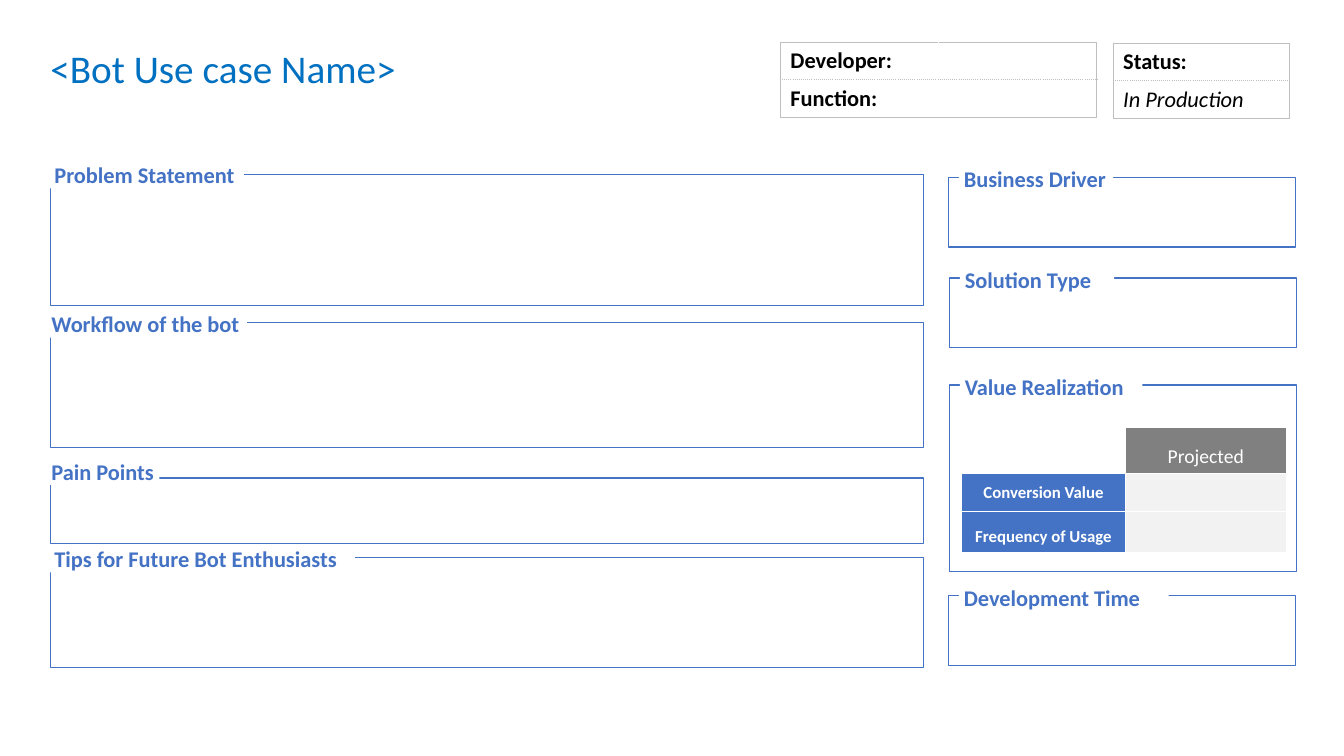
from lxml import etree
from pptx import Presentation, util as u
from pptx.dml.color import RGBColor
from pptx.enum import shapes, text
from pptx.oxml.ns import qn

HUES = {"blue": "4472C4", "title": "0070C0", "white": "FFFFFF", "black": "000000",
        "rule": "BFBFBF", "head": "808080", "pale": "F2F2F2"}
RULE, DOTS = ("rule", 0.75, "solid"), ("rule", 0.75, "sysDot")
CLEAR, GAP = ("white", 1, "solid"), ("white", 1.5, "solid")


def hue(name):
    """Return the named colour."""
    return RGBColor.from_string(HUES[name])


def write(frame, words, size=16, color="blue", bold=False, italic=False,
          align=text.PP_ALIGN.LEFT, space=1):
    """Put one formatted line of text in a frame."""
    para = frame.paragraphs[0]
    para.alignment, para.line_spacing = align, space
    run = para.add_run()
    run.text = words
    font = run.font
    font.name, font.size = "Calibri", u.Pt(size)
    font.bold, font.italic = bold, italic
    font.color.rgb = hue(color)


def rect(slide, box, line=None):
    """Draw a white rectangle, with an outline if a colour is given."""
    shape = slide.shapes.add_shape(shapes.MSO_SHAPE.RECTANGLE, *map(u.Inches, box))
    shape.shadow.inherit = False
    shape.fill.solid()
    shape.fill.fore_color.rgb = hue("white")
    if line:
        shape.line.color.rgb = hue(line)
        shape.line.width = u.Pt(1)
    else:
        shape.line.fill.background()
    return shape


def label(slide, box, words, inset=0.05, **form):
    """Draw a borderless text plate."""
    frame = rect(slide, box).text_frame
    frame.word_wrap = True
    frame.vertical_anchor = text.MSO_ANCHOR.MIDDLE
    frame.margin_left = u.Inches(inset)
    frame.margin_top = frame.margin_right = frame.margin_bottom = 0
    write(frame, words, **form)


def panel(slide, box, words, wide, dx, dy=-0.12):
    """Draw a framed field whose heading breaks its top edge."""
    rect(slide, box, "blue")
    label(slide, (box[0] + dx, box[1] + dy, wide, 0.27), words, bold=True)


def grid(slide, box, cols, rows):
    """Add a plain table with the given column widths and row heights."""
    table = slide.shapes.add_table(len(rows), len(cols), *map(u.Inches, box)).table
    table.first_row = table.horz_banding = False
    for col, wide in zip(table.columns, cols):
        col.width = u.Inches(wide)
    for row, high in zip(table.rows, rows):
        row.height = u.Inches(high)
    return table


def paint(cell, fill, **edges):
    """Set a cell's borders (L, R, T, B) and its fill."""
    props = cell._tc.get_or_add_tcPr()
    for side in "LRTB":
        if side in edges:
            color, width, dash = edges[side]
            line = etree.SubElement(props, qn("a:ln" + side), w=str(u.Pt(width)))
            solid = etree.SubElement(line, qn("a:solidFill"))
            etree.SubElement(solid, qn("a:srgbClr"), val=HUES[color])
            etree.SubElement(line, qn("a:prstDash"), val=dash)
    cell.fill.solid()
    cell.fill.fore_color.rgb = hue(fill)
    cell.text_frame.paragraphs[0].font.size = u.Pt(12)


def facts(slide, box, count, lines):
    """Add a two-row fact table, split by a dotted rule."""
    table = grid(slide, box, [box[2] / count] * count, [box[3] / 2] * 2)
    for r, (words, form) in enumerate(lines):
        for c in range(count):
            paint(table.cell(r, c), "white",
                  L=CLEAR if c else RULE, R=RULE if c == count - 1 else CLEAR,
                  T=DOTS if r else RULE, B=RULE if r else DOTS)
        write(table.cell(r, 0).text_frame, words, color="black", **form)


def value(slide, box):
    """Add the table of projected value."""
    table = grid(slide, box, [1.62, 1.6], [0.45, 0.38, 0.4])
    fills = [("white", "head"), ("blue", "pale"), ("blue", "pale")]
    for r, pair in enumerate(fills):
        for c, fill in enumerate(pair):
            edges = {"R": GAP} if c else {}
            if r == 1:
                edges["B"] = GAP
            elif r == 2:
                edges["T"] = GAP
            paint(table.cell(r, c), fill, **edges)
    for r, c, words, size, space in [(0, 1, "Projected", 14, 1.5),
                                     (1, 0, "Conversion Value", 12, 1),
                                     (2, 0, "Frequency of Usage", 12, 1.5)]:
        cell = table.cell(r, c)
        cell.vertical_anchor = text.MSO_ANCHOR.MIDDLE
        write(cell.text_frame, words, size=size, color="white", bold=r > 0,
              align=text.PP_ALIGN.CENTER, space=space)


def header(slide, x, y):
    """Place the title and the two fact tables."""
    label(slide, (x, y, 4.34, 0.47), "<Bot Use case Name>", inset=0,
          size=28, color="title")
    bold = {"bold": True}
    facts(slide, (x + 7.24, y - 0.02, 3.14, 0.74), 2,
          [("Developer:", bold), ("Function:", bold)])
    facts(slide, (x + 10.54, y - 0.01, 1.75, 0.74), 1,
          [("Status:", bold), ("In Production", {"italic": True})])


def story(slide, x, y, wide):
    """Stack the wide fields on the left."""
    for top, high, words, span, dx, dy in [
            (0, 1.3, "Problem Statement", 1.93, -0.01, -0.13),
            (1.47, 1.24, "Workflow of the bot", 1.99, -0.04, -0.12),
            (3.01, 0.65, "Pain Points", 1.12, -0.04, -0.2),
            (3.8, 1.09, "Tips for Future Bot Enthusiasts", 3.03, -0.01, -0.12)]:
        panel(slide, (x, y + top, wide, high), words, span, dx, dy)


def side(slide, x, y, wide):
    """Stack the narrow fields on the right, with the value table."""
    for dx, top, high, words, span in [
            (0, 0, 0.69, "Business Driver", 1.53),
            (0.01, 1, 0.69, "Solution Type", 1.53),
            (0.01, 2.06, 1.85, "Value Realization", 1.81),
            (0, 4.15, 0.69, "Development Time", 2.08)]:
        panel(slide, (x + dx, y + top, wide, high), words, span, 0.1)
    value(slide, (x + 0.13, y + 2.48, 3.22, 1.23))


deck = Presentation()
deck.slide_width, deck.slide_height = u.Inches(13.33), u.Inches(7.5)
page = deck.slides.add_slide(deck.slide_layouts[6])
header(page, 0.5, 0.44)
story(page, 0.5, 1.73, 8.66)
side(page, 9.41, 1.76, 3.44)
deck.save("out.pptx")
